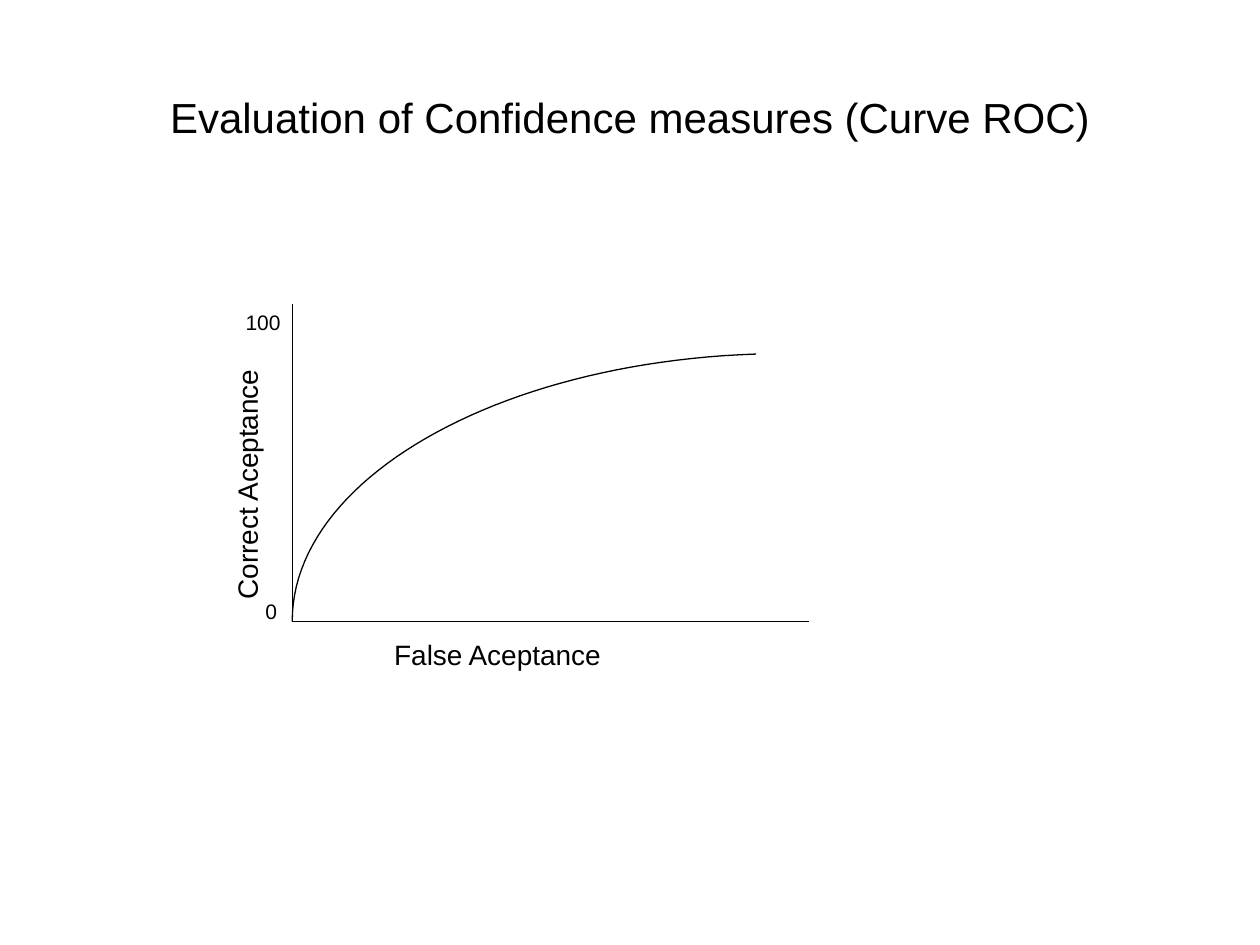
"""Build a slide showing a ROC curve for confidence measures."""
from lxml import etree
from pptx import Presentation
from pptx.dml.color import RGBColor
from pptx.enum.shapes import MSO_CONNECTOR
from pptx.enum.text import MSO_ANCHOR, PP_ALIGN
from pptx.oxml.ns import qn
from pptx.util import Pt

LEFT, CENTER = PP_ALIGN.LEFT, PP_ALIGN.CENTER
TOP, MIDDLE = MSO_ANCHOR.TOP, MSO_ANCHOR.MIDDLE
STRAIGHT = MSO_CONNECTOR.STRAIGHT
BLACK = "000000"
FONT = "Arial"
LINE_WIDTH = 0.75

ORIGIN = (167, 355)
AXIS_ENDS = [(167, 173.5), (462.2, 355)]
CURVE_CONTROLS = [(432, 202.3), (283, 207.4), (167, 274.3), ORIGIN]
CURVE_STEPS = 48

LABELS = [
    ("Evaluation of Confidence measures (Curve ROC)", (36, 21.6, 648, 90), 24, 0, CENTER, MIDDLE),
    ("False Aceptance", (218.2, 360.7, 204.5, 26.6), 16, 0, LEFT, TOP),
    ("Correct Aceptance", (50.4, 245.5, 181.4, 26.6), 16, 270, LEFT, TOP),
    ("0", (144.5, 338.4, 23, 21.6), 12, 0, LEFT, TOP),
    ("100", (133.2, 173.5, 51.1, 21.6), 12, 0, LEFT, TOP),
]


def color(value):
    return RGBColor.from_string(value)


def style_line(shape):
    shape.line.color.rgb = color(BLACK)
    shape.line.width = Pt(LINE_WIDTH)


def add_label(slide, text, box, size, rotation, alignment, anchor):
    shape = slide.shapes.add_textbox(*map(Pt, box))
    shape.rotation = rotation
    frame = shape.text_frame
    frame.word_wrap = True
    frame.vertical_anchor = anchor
    paragraph = frame.paragraphs[0]
    paragraph.alignment = alignment
    run = paragraph.add_run()
    run.text = text
    run.font.name = FONT
    run.font.size = Pt(size)
    run.font.color.rgb = color(BLACK)


def add_axis(slide, end):
    axis = slide.shapes.add_connector(STRAIGHT, *map(Pt, ORIGIN + end))
    style_line(axis)
    etree.SubElement(axis.element.spPr, qn("a:effectLst"))


def curve_point(t):
    weights = ((1 - t) ** 3, 3 * t * (1 - t) ** 2, 3 * t ** 2 * (1 - t), t ** 3)
    return tuple(
        Pt(sum(weight * value for weight, value in zip(weights, values)))
        for values in zip(*CURVE_CONTROLS)
    )


def add_curve(slide):
    start, *points = [curve_point(step / CURVE_STEPS) for step in range(CURVE_STEPS + 1)]
    builder = slide.shapes.build_freeform(*start)
    builder.add_line_segments(points, close=False)
    curve = builder.convert_to_shape()
    curve.fill.background()
    curve.shadow.inherit = False
    style_line(curve)


def main():
    presentation = Presentation()
    presentation.slide_width, presentation.slide_height = Pt(720), Pt(540)
    slide = presentation.slides.add_slide(presentation.slide_layouts[6])
    for end in AXIS_ENDS:
        add_axis(slide, end)
    for label in LABELS:
        add_label(slide, *label)
    add_curve(slide)
    presentation.save("out.pptx")


if __name__ == "__main__":
    main()
